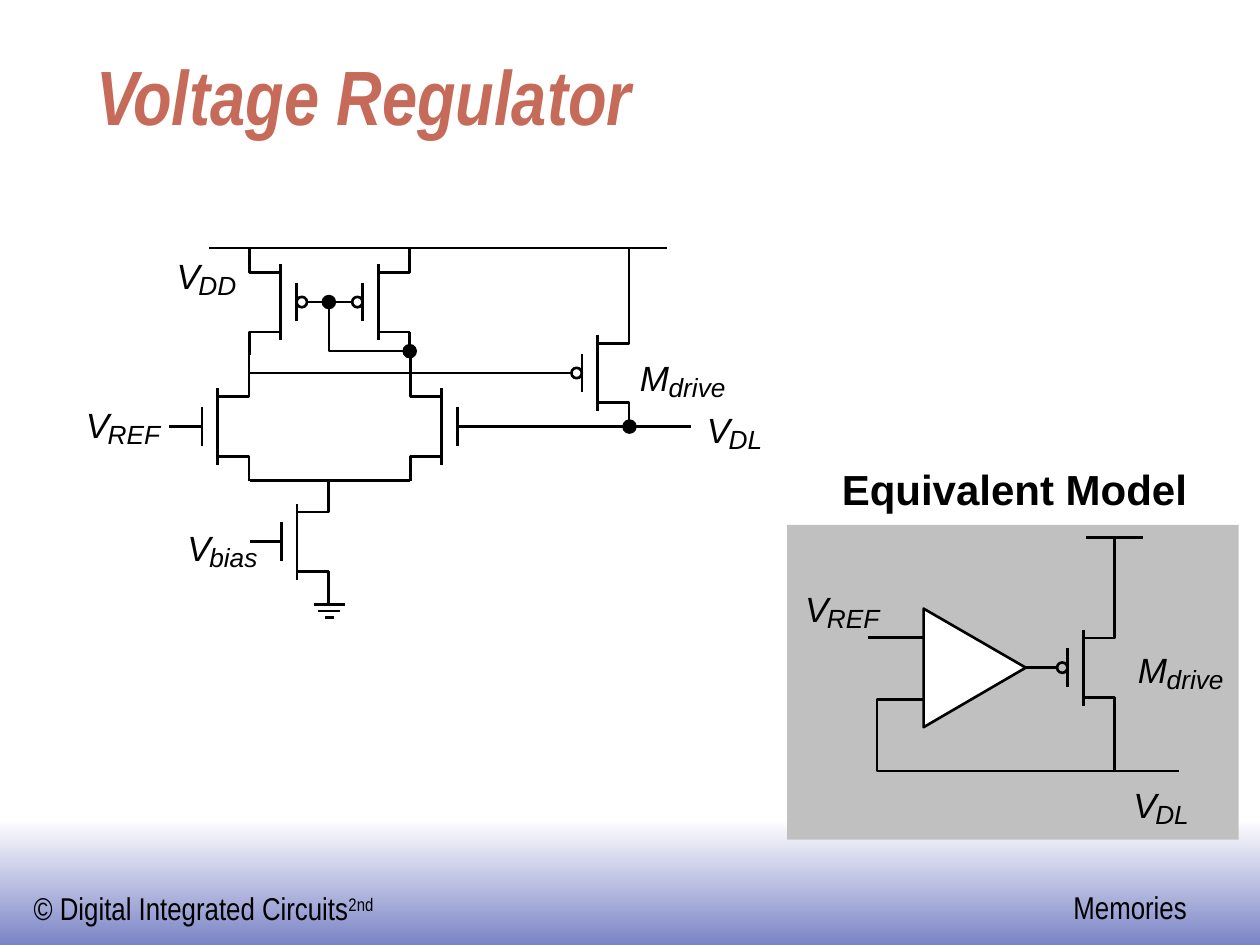
"""Build the voltage regulator slide with its circuit and equivalent model."""
import pptx
import pptx.dml.color
import pptx.enum.shapes
import pptx.enum.text
import pptx.oxml
import pptx.oxml.ns
import pptx.util
from dataclasses import dataclass

Cm = pptx.util.Cm
Pt = pptx.util.Pt
RGB = pptx.dml.color.RGBColor.from_string
SHAPE = pptx.enum.shapes.MSO_SHAPE
FIT = pptx.enum.text.MSO_AUTO_SIZE


@dataclass(frozen=True)
class Theme:
    ink: str = "000000"
    paper: str = "FFFFFF"
    title: str = "C66B5A"
    panel: str = "C0C0C0"
    band: str = "7B84C6"
    sans: str = "Arial"
    narrow: str = "Arial Narrow"
    title_size: int = 44
    heading_size: int = 24
    footer_size: int = 18
    label_size: int = 20
    sub_size: int = 15
    line: float = 1.5


theme = Theme()


def write(tf, text, size, font=theme.sans, color=theme.ink, bold=False, italic=False, raised=False):
    r = tf.paragraphs[0].add_run()
    r.text = text
    r.font.size, r.font.name = Pt(size), font
    r.font.bold, r.font.italic = bold, italic
    r.font.color.rgb = RGB(color)
    if raised:
        r.font._element.set("baseline", "30000")


def draw(sp, fill=None):
    sp.shadow.inherit = False
    sp.line.color.rgb = RGB(theme.ink)
    sp.line.width = Pt(theme.line)
    if fill:
        sp.fill.solid()
        sp.fill.fore_color.rgb = RGB(fill)
    else:
        sp.fill.background()


prs = pptx.Presentation()
prs.slide_width, prs.slide_height = Cm(25.4), Cm(19.05)
s = prs.slides.add_slide(prs.slide_layouts[5])

title = s.shapes.title
title.left, title.top, title.width, title.height = Cm(1.7), Cm(0.86), Cm(21.59), Cm(2.11)
tf = title.text_frame
tf.auto_size = FIT.NONE
tf.vertical_anchor = pptx.enum.text.MSO_ANCHOR.BOTTOM
tf.paragraphs[0].alignment = pptx.enum.text.PP_ALIGN.LEFT
write(tf, "Voltage Regulator", theme.title_size, theme.narrow, theme.title, bold=True, italic=True)

band = s.shapes.add_shape(SHAPE.RECTANGLE, 0, Cm(16.51), Cm(25.4), Cm(2.54))
band.shadow.inherit = False
band.line.fill.background()
band.fill.gradient()
band.fill.gradient_angle = 270
for stop, color in zip(band.fill.gradient_stops, (theme.paper, theme.band)):
    stop.color.rgb = RGB(color)

panel = s.shapes.add_shape(SHAPE.RECTANGLE, Cm(15.87), Cm(10.58), Cm(9.1), Cm(6.35))
draw(panel, theme.panel)
panel.line.fill.background()

captions = [
    (0.43, 17.8, 7.45, 1.02, "© Digital Integrated Circuits", theme.footer_size, theme.narrow, False),
    (21.39, 17.78, 2.79, 1.02, "Memories", theme.footer_size, theme.narrow, False),
    (16.72, 9.22, 7.48, 1.27, "Equivalent Model", theme.heading_size, theme.sans, True),
]
for x, y, w, h, text, size, font, bold in captions:
    tf = s.shapes.add_textbox(Cm(x), Cm(y), Cm(w), Cm(h)).text_frame
    tf.word_wrap = False
    tf.auto_size = FIT.SHAPE_TO_FIT_TEXT
    write(tf, text, size, font, bold=bold)
    if text.startswith("©"):
        write(tf, "2nd", size, font, raised=True)

wires = [
    [(4.22, 5), (13.44, 5)],
    [(5.03, 7.52), (11.05, 7.52)],
    [(8.26, 6.69), (8.26, 7.16)],
    [(5.03, 9.69), (8.26, 9.69)],
    [(8.26, 7.08), (6.63, 7.08), (6.63, 6.09)],
    [(21.89, 10.83), (23.04, 10.83)],
    [(17.5, 12.85), (18.62, 12.85)],
    [(18.62, 14.1), (17.68, 14.1), (17.68, 15.54), (23.77, 15.54)],
]
for i, half in enumerate((0.32, 0.22, 0.09)):
    y = 12.19 + i * 0.13
    wires.append([(6.64 - half, y), (6.64 + half, y)])

# channel x, centre y, side of the taps, top end, bottom end, gate end, has bubble
transistors = [
    (5.66, 6.09, -1, 5, 7.16, 6.63, True),
    (7.63, 6.09, 1, 5, 6.69, 6.63, True),
    (4.39, 8.6, 1, 7.16, 9.69, 3.4, False),
    (8.9, 8.6, -1, 7.08, 9.69, 13.92, False),
    (5.99, 10.92, 1, 9.69, 12.19, 5.03, False),
    (12.05, 7.52, 1, 5, 8.6, 11.05, True),
    (21.84, 13.46, 1, 10.83, 15.54, 20.68, True),
]
bubble = 0.21
for x, y, side, top, bottom, gate_end, has_bubble in transistors:
    tap, plate = x + side * 0.63, x - side * 0.32
    gate = plate - side * bubble if has_bubble else plate
    wires += [
        [(tap, top), (tap, y - 0.6), (x, y - 0.6)],
        [(x, y + 0.6), (tap, y + 0.6), (tap, bottom)],
        [(x, y - 0.77), (x, y + 0.77)],
        [(plate, y - 0.39), (plate, y + 0.39)],
        [(gate, y), (gate_end, y)],
    ]
    if has_bubble:
        left = min(gate, plate)
        draw(s.shapes.add_shape(SHAPE.OVAL, Cm(left), Cm(y - bubble / 2), Cm(bubble), Cm(bubble)))

for points in wires:
    ends = list(dict.fromkeys((Cm(round(x, 2)), Cm(round(y, 2))) for x, y in points))
    if len(ends) == 2:
        line = s.shapes.add_connector(pptx.enum.shapes.MSO_CONNECTOR.STRAIGHT, *ends[0], *ends[1])
        line.line.color.rgb = RGB(theme.ink)
        line.line.width = Pt(theme.line)
        line._element.spPr.append(pptx.oxml.parse_xml(f"<a:effectLst {pptx.oxml.ns.nsdecls('a')}/>"))
    else:
        fb = s.shapes.build_freeform(*ends[0])
        fb.add_line_segments(ends[1:], close=False)
        draw(fb.convert_to_shape())

fb = s.shapes.build_freeform(Cm(18.62), Cm(14.66))
fb.add_line_segments([(Cm(18.62), Cm(12.27)), (Cm(20.68), Cm(13.46))])
draw(fb.convert_to_shape(), theme.paper)

dot = 0.24
for x, y in [(6.63, 6.09), (8.26, 7.08), (12.69, 8.6)]:
    draw(s.shapes.add_shape(SHAPE.OVAL, Cm(x - dot / 2), Cm(y - dot / 2), Cm(dot), Cm(dot)), theme.ink)

widths = {"V": 0.44, "M": 0.58, "DD": 0.78, "REF": 1.07, "bias": 0.97, "drive": 1.16, "DL": 0.69}
labels = [
    ("V", "DD", 3.56, 5.13),
    ("V", "REF", 1.73, 8.13),
    ("V", "bias", 3.78, 10.62),
    ("M", "drive", 12.9, 7.19),
    ("V", "DL", 14.25, 8.23),
    ("V", "REF", 16.23, 11.84),
    ("M", "drive", 22.94, 13.08),
    ("V", "DL", 22.85, 15.8),
]
for name, sub, x, y in labels:
    parts = [
        (name, x, y, 0.84, theme.label_size),
        (sub, x + widths[name], y + 0.3, 0.64, theme.sub_size),
    ]
    for text, left, top, height, size in parts:
        tf = s.shapes.add_textbox(Cm(left), Cm(top), Cm(widths[text]), Cm(height)).text_frame
        tf.word_wrap = False
        tf.auto_size = FIT.SHAPE_TO_FIT_TEXT
        tf.margin_left = tf.margin_right = tf.margin_top = tf.margin_bottom = 0
        write(tf, text, size, italic=True)

prs.save("out.pptx")
